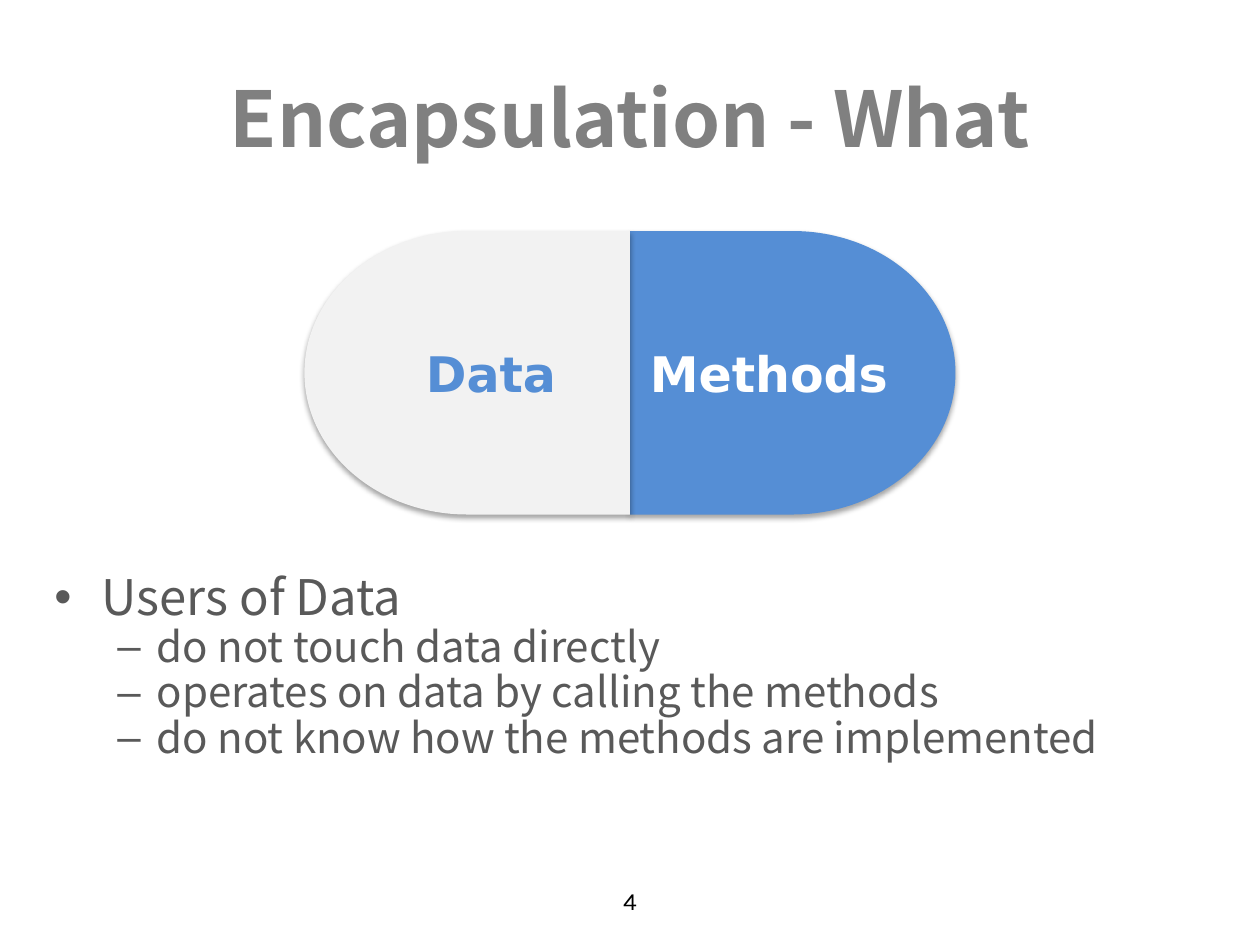
from lxml import etree
from pptx import Presentation
from pptx.dml.color import RGBColor
from pptx.enum import shapes, text
from pptx.oxml.ns import qn
from pptx.util import Pt

GREY = RGBColor(0x80, 0x80, 0x80)
DARK_GREY = RGBColor(0x59, 0x59, 0x59)
PALE = RGBColor(0xF2, 0xF2, 0xF2)
BLUE = RGBColor(0x55, 0x8E, 0xD5)
WHITE = RGBColor(0xFF, 0xFF, 0xFF)
BLACK = RGBColor(0, 0, 0)

SANS = "Noto Sans CJK SC"
CAPSULE_FONT = "DejaVu Sans"
NUMBER_FONT = "Karla"

CENTRE = 360
CAPSULE_TOP, HALF_WIDTH, CAPSULE_HEIGHT = 132, 186, 162

# Per outline level: bullet, left margin, hanging indent, font size
LEVELS = [("•", 27, 27, 28), ("–", 58.5, 22.5, 24)]
OUTLINE = [
    (0, "Users of Data"),
    (1, "do not touch data directly"),
    (1, "operates on data by calling the methods"),
    (1, "do not know how the methods are implemented"),
]


def write(para, words, *, size, color, font=SANS, bold=False,
          align=text.PP_ALIGN.CENTER):
    para.alignment = align
    span = para.add_run()
    span.text = words
    span.font.name = font
    span.font.size = Pt(size)
    span.font.bold = bold
    span.font.color.rgb = color


def add_box(page, left, top, width, height, anchor=text.MSO_ANCHOR.MIDDLE):
    box = page.shapes.add_textbox(Pt(left), Pt(top), Pt(width), Pt(height))
    box.text_frame.word_wrap = True
    box.text_frame.vertical_anchor = anchor
    return box.text_frame


def add_bullet(para, mark, margin, hang):
    props = para._p.get_or_add_pPr()
    props.set("marL", str(Pt(margin)))
    props.set("indent", str(-Pt(hang)))
    etree.SubElement(props, qn("a:buFont"), typeface="Arial")
    etree.SubElement(props, qn("a:buChar"), char=mark)


def add_outline(frame, items):
    for index, (level, words) in enumerate(items):
        para = frame.add_paragraph() if index else frame.paragraphs[0]
        mark, margin, hang, size = LEVELS[level]
        para.level = level
        para.line_spacing = 0.9
        para.space_before = Pt(0)
        add_bullet(para, mark, margin, hang)
        write(para, words, size=size, color=DARK_GREY,
              align=text.PP_ALIGN.LEFT)


def add_shadow(shape):
    """Give the shape a soft shadow straight below it."""
    shape.shadow.inherit = False
    effects = shape._element.spPr.find(qn("a:effectLst"))
    shadow = etree.SubElement(
        effects, qn("a:outerShdw"), blurRad=str(Pt(3.1)), dist=str(Pt(1.8)),
        dir="5400000", rotWithShape="0")
    color = etree.SubElement(shadow, qn("a:srgbClr"), val=str(BLACK))
    etree.SubElement(color, qn("a:alpha"), val="35000")


def add_capsule_half(group, left, words, fill, color, flipped=False):
    half = group.shapes.add_shape(
        shapes.MSO_SHAPE.FLOWCHART_DELAY, Pt(left), Pt(CAPSULE_TOP),
        Pt(HALF_WIDTH), Pt(CAPSULE_HEIGHT))
    half.fill.solid()
    half.fill.fore_color.rgb = fill
    half.line.fill.background()
    add_shadow(half)
    if flipped:
        half._element.spPr.xfrm.set("flipH", "1")
    half.text_frame.vertical_anchor = text.MSO_ANCHOR.MIDDLE
    write(half.text_frame.paragraphs[0], words, size=28, color=color,
          font=CAPSULE_FONT, bold=True)


def main():
    deck = Presentation()
    deck.slide_width, deck.slide_height = Pt(720), Pt(540)
    page = deck.slides.add_slide(deck.slide_layouts[6])

    title = add_box(page, 36, 21.6, 648, 90)
    write(title.paragraphs[0], "Encapsulation - What", size=44, color=GREY,
          bold=True)

    body = add_box(page, 24, 324, 618, 180, text.MSO_ANCHOR.TOP)
    add_outline(body, OUTLINE)

    number = add_box(page, 246, 500.4, 228, 28.8)
    write(number.paragraphs[0], "4", size=14, color=BLACK, font=NUMBER_FONT)

    capsule = page.shapes.add_group_shape()
    add_capsule_half(capsule, CENTRE, "Methods", BLUE, WHITE)
    add_capsule_half(capsule, CENTRE - HALF_WIDTH, "Data", PALE, BLUE,
                     flipped=True)

    deck.save("out.pptx")


if __name__ == "__main__":
    main()
